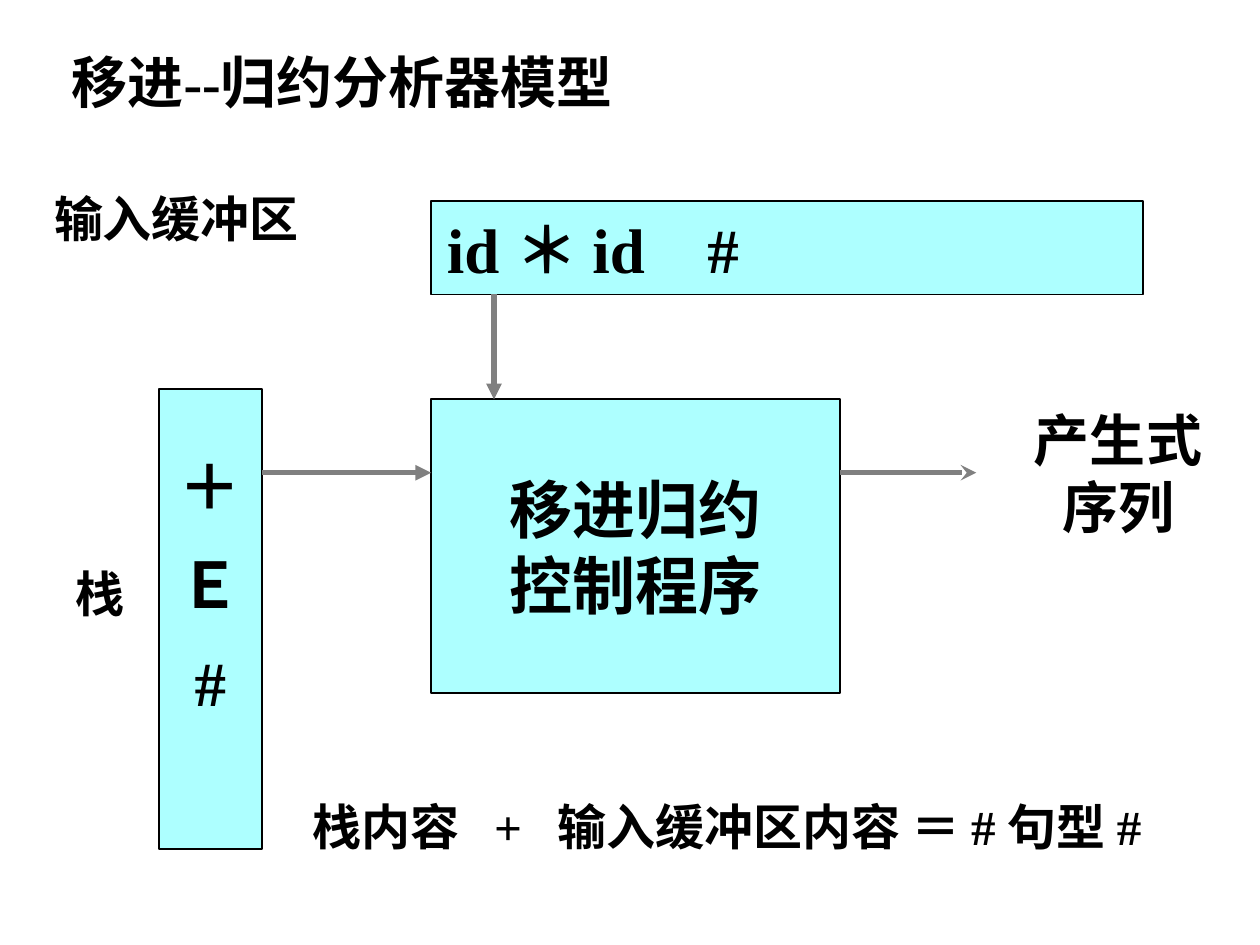
import pptx
import pptx.util
import pptx.dml.color
import pptx.enum.shapes
import pptx.enum.text
import pptx.oxml.ns
from lxml import etree

Cm = pptx.util.Cm
Pt = pptx.util.Pt
RGBColor = pptx.dml.color.RGBColor
Align = pptx.enum.text.PP_ALIGN
Anchor = pptx.enum.text.MSO_ANCHOR
qn = pptx.oxml.ns.qn

BLACK = RGBColor(0x00, 0x00, 0x00)
CYAN = RGBColor(0xAD, 0xFF, 0xFF)
GRAY = RGBColor(0x80, 0x80, 0x80)
LATIN = "Times New Roman"
ASIAN = "Noto Sans CJK SC"


def write(shape, lines, size, align=Align.LEFT, anchor=Anchor.TOP,
          pads=(0, 0, 0, 0), space=None, tabs=()):
    frame = shape.text_frame
    frame.word_wrap = True
    frame.vertical_anchor = anchor
    frame.margin_left, frame.margin_top, frame.margin_right, frame.margin_bottom = map(Cm, pads)
    for index, line in enumerate(lines):
        para = frame.paragraphs[0] if index == 0 else frame.add_paragraph()
        para.alignment = align
        if space:
            para.line_spacing = space
        if tabs:
            stops = etree.SubElement(para._p.get_or_add_pPr(), qn("a:tabLst"))
            for stop in tabs:
                etree.SubElement(stops, qn("a:tab"), pos=str(Cm(stop)), algn="l")
        run = para.add_run()
        run.text = line
        font = run.font
        font.name = LATIN
        font.size = Pt(size)
        font.bold = True
        font.color.rgb = BLACK
        etree.SubElement(run._r.get_or_add_rPr(), qn("a:ea"), typeface=ASIAN)


def label(slide, box, lines, size, **style):
    shape = slide.shapes.add_textbox(*map(Cm, box))
    write(shape, lines, size, **style)


def block(slide, box, lines, **style):
    kind = pptx.enum.shapes.MSO_SHAPE.RECTANGLE
    shape = slide.shapes.add_shape(kind, *map(Cm, box))
    shape.shadow.inherit = False
    shape.fill.solid()
    shape.fill.fore_color.rgb = CYAN
    shape.line.color.rgb = BLACK
    shape.line.width = Pt(1)
    write(shape, lines, 36, anchor=Anchor.MIDDLE, **style)


def arrow(slide, start, end, head="triangle"):
    kind = pptx.enum.shapes.MSO_CONNECTOR.STRAIGHT
    link = slide.shapes.add_connector(kind, *map(Cm, start + end))
    link.line.color.rgb = GRAY
    link.line.width = Pt(3)
    etree.SubElement(link.line._get_or_add_ln(), qn("a:tailEnd"), type=head)
    etree.SubElement(link._element.spPr, qn("a:effectLst"))


def title(slide, box):
    label(slide, box, ["移进--归约分析器模型"], 32,
          anchor=Anchor.MIDDLE, pads=(0.25, 0.13, 0.25, 0.13))


def buffer(slide, box):
    left, top, width, height = box
    label(slide, (left, top, 6.5, 1.2), ["输入缓冲区"], 28)
    block(slide, (left + 7.6, top + 0.25, width - 7.6, height - 0.25),
          ["id ＊ id\t#"], pads=(0.32, 0, 0, 0), tabs=(5.25,))


def stack(slide, box):
    left, top, width, height = box
    label(slide, (left, top + 3.38, 1.5, 1.44), ["栈"], 28,
          pads=(0.25, 0.13, 0, 0.13))
    block(slide, (left + 1.93, top, width - 1.93, height), ["＋", "Ｅ", "#"],
          align=Align.CENTER, space=1.3, pads=(0, 0, 0, 1.9))


def control(slide, box):
    left, top, width, height = box
    block(slide, box, ["移进归约", "控制程序"], align=Align.CENTER)
    row = top + 1.48
    right = left + width
    arrow(slide, (left + 1.27, top - 2.12), (left + 1.27, top))
    arrow(slide, (left - 3.41, row), (left, row))
    arrow(slide, (right, row), (right + 2.75, row), "stealth")
    label(slide, (right + 3.6, top, 4.02, 2.97), ["产生式序列"], 32,
          align=Align.CENTER, pads=(0.25, 0.13, 0.25, 0.13))


def note(slide, box):
    label(slide, box, ["栈内容\t+\t输入缓冲区内容 ＝ # 句型 #"], 28,
          pads=(0, 0.13, 0, 0.13), tabs=(3.66, 4.94))


def main():
    deck = pptx.Presentation()
    deck.slide_width = Cm(25.4)
    deck.slide_height = Cm(19.05)
    slide = deck.slides.add_slide(deck.slide_layouts[6])
    title(slide, (1.19, 0.53, 24.21, 2.2))
    buffer(slide, (1.09, 3.81, 21.95, 2.13))
    stack(slide, (1.27, 7.85, 4.01, 9.27))
    control(slide, (8.69, 8.05, 8.24, 5.92))
    note(slide, (6.3, 15.93, 18.42, 1.44))
    deck.save("out.pptx")


if __name__ == "__main__":
    main()
